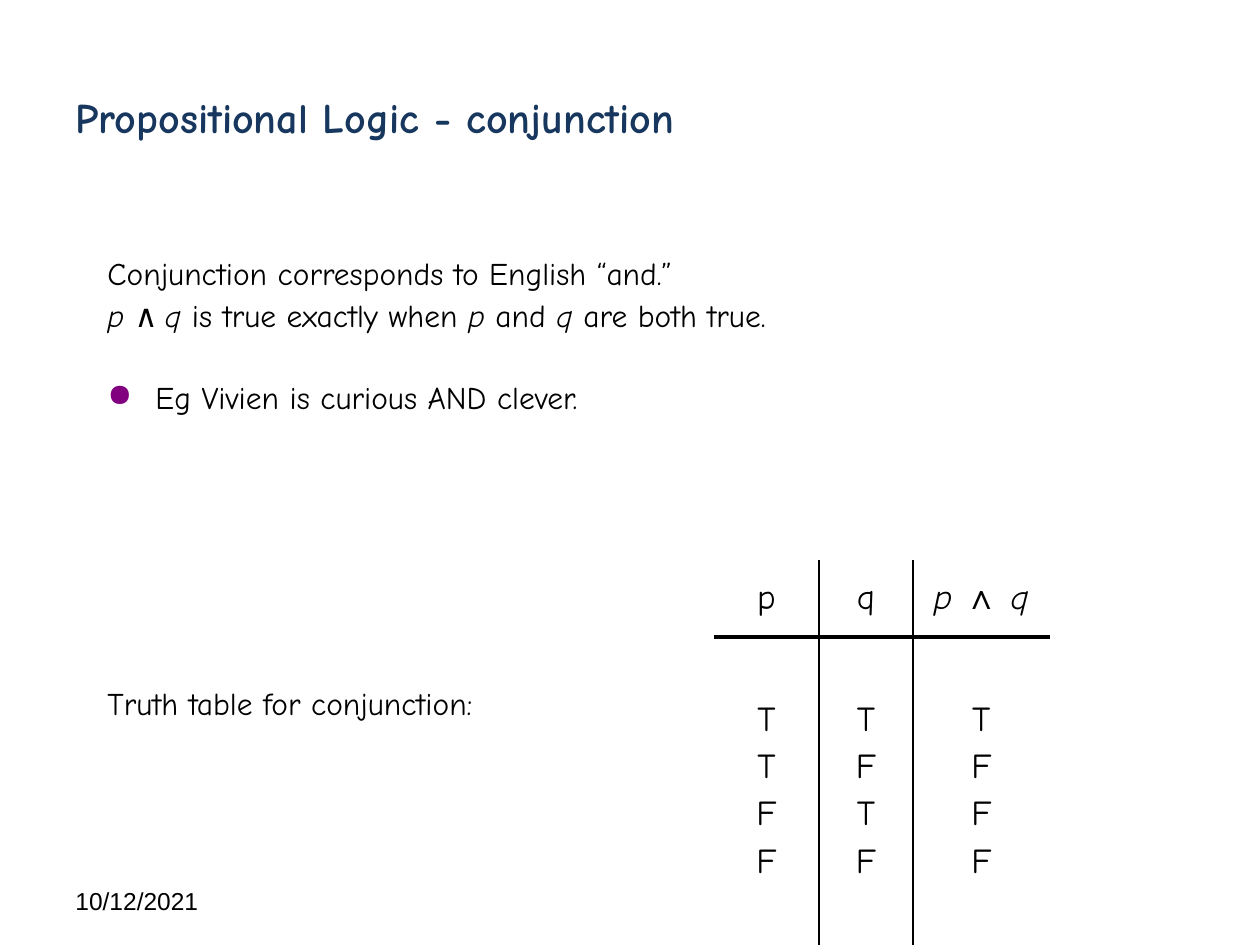
import pptx
import pptx.dml.color
import pptx.enum.text
import pptx.oxml
import pptx.oxml.ns
import pptx.util
from lxml import etree

EMU_PER_PX = 914400 / 126
COLORS = {"title": "17375E", "text": "000000", "bullet": "800080", "rule": "000000"}
FONT = "Comic Neue"
MIDDLE = pptx.enum.text.MSO_ANCHOR.MIDDLE
CENTER = pptx.enum.text.PP_ALIGN.CENTER


def px(length):
    return pptx.util.Emu(round(length * EMU_PER_PX))


def add_child(parent, tag, **attributes):
    return etree.SubElement(parent, pptx.oxml.ns.qn(tag), attributes)


def add_span(para, text, size, font=FONT, color="text", bold=False, italic=False):
    span = para.add_run()
    span.text = text
    span.font.size = pptx.util.Pt(size)
    span.font.name = font
    span.font.bold = bold
    span.font.italic = italic
    span.font.color.rgb = pptx.dml.color.RGBColor.from_string(COLORS[color])


def add_text_frame(page, box, anchor=pptx.enum.text.MSO_ANCHOR.TOP):
    frame = page.shapes.add_textbox(*map(px, box)).text_frame
    frame.word_wrap = True
    frame.vertical_anchor = anchor
    return frame


def add_label(page, box, text, size, **style):
    frame = add_text_frame(page, box, MIDDLE)
    add_span(frame.paragraphs[0], text, size, **style)


def add_body(page, box, lines):
    """Each line is (space before in points, has bullet, spans)."""
    frame = add_text_frame(page, box)
    for index, (space, has_bullet, spans) in enumerate(lines):
        para = frame.add_paragraph() if index else frame.paragraphs[0]
        para.line_spacing = 0.9
        para.space_before = pptx.util.Pt(space)
        properties = para._p.get_or_add_pPr()
        properties.set("marL", str(px(48)))
        properties.set("indent", str(-px(48)))
        if has_bullet:
            color = add_child(properties, "a:buClr")
            add_child(color, "a:srgbClr", val=COLORS["bullet"])
            add_child(properties, "a:buChar", char="●")
        for text, style in spans:
            add_span(para, text, 18, **style)


def set_borders(cell, widths):
    """Draw the sides named in widths (points); hide the others."""
    properties = cell._tc.get_or_add_tcPr()
    for side in "LRTB":
        width = widths.get(side, 0)
        line = add_child(properties, f"a:ln{side}", w=str(pptx.util.Pt(width)))
        if width:
            fill = add_child(line, "a:solidFill")
            add_child(fill, "a:srgbClr", val=COLORS["rule"])
        else:
            add_child(line, "a:noFill")


def add_truth_table(page, box, column_widths, row_heights, columns):
    """Each column is (heading spans, truth values)."""
    table = page.shapes.add_table(2, len(columns), *map(px, box)).table
    table.first_row = table.horz_banding = False
    for row, height in zip(table.rows, row_heights):
        row.height = px(height)
    last = len(columns) - 1
    for index, (heading, values) in enumerate(columns):
        table.columns[index].width = px(column_widths[index])
        value_lines = [[(value, {})] for value in values]
        for row, lines in enumerate([[heading], value_lines]):
            cell = table.cell(row, index)
            cell.vertical_anchor = MIDDLE
            set_borders(cell, {"L": index > 0, "R": index < last, "T" if row else "B": 3})
            cell.fill.background()
            frame = cell.text_frame
            for number, spans in enumerate(lines):
                para = frame.add_paragraph() if number else frame.paragraphs[0]
                para.alignment = CENTER
                para.space_before = pptx.util.Pt(4)
                for text, style in spans:
                    add_span(para, text, 20, **style)


def main():
    deck = pptx.Presentation()
    deck.slide_width, deck.slide_height = px(1260), px(945)
    page = deck.slides.add_slide(deck.slide_layouts[6])
    italic = {"italic": True}

    add_label(page, (63, 876, 294, 50), "10/12/2021", 14, font="Arial")
    add_label(page, (63, 38, 1134, 158), "Propositional Logic - conjunction", 24,
              color="title", bold=True)
    add_body(page, (95, 252, 1014, 315), [
        (4.4, False, [("Conjunction corresponds to English “and.”", {})]),
        (4.4, False, [("p ", italic), ("∧ ", {"font": "Calibri"}), ("q", italic),
                      (" is true exactly when ", {}), ("p", italic), (" and ", {}),
                      ("q", italic), (" are both true.", {})]),
        (27.5, True, [("Eg Vivien is curious AND clever.", {})]),
    ])
    add_body(page, (95, 682, 1014, 147), [
        (4.4, False, [("Truth table for conjunction:", {})]),
    ])
    add_truth_table(page, (714, 560, 336, 385), (105, 94, 137), (77, 308), [
        ([("p", {})], "TTFF"),
        ([("q", {})], "TFTF"),
        ([("p ", italic), ("∧", {"font": "Arial"}), (" q", italic)], "TFFF"),
    ])
    deck.save("out.pptx")


if __name__ == "__main__":
    main()
